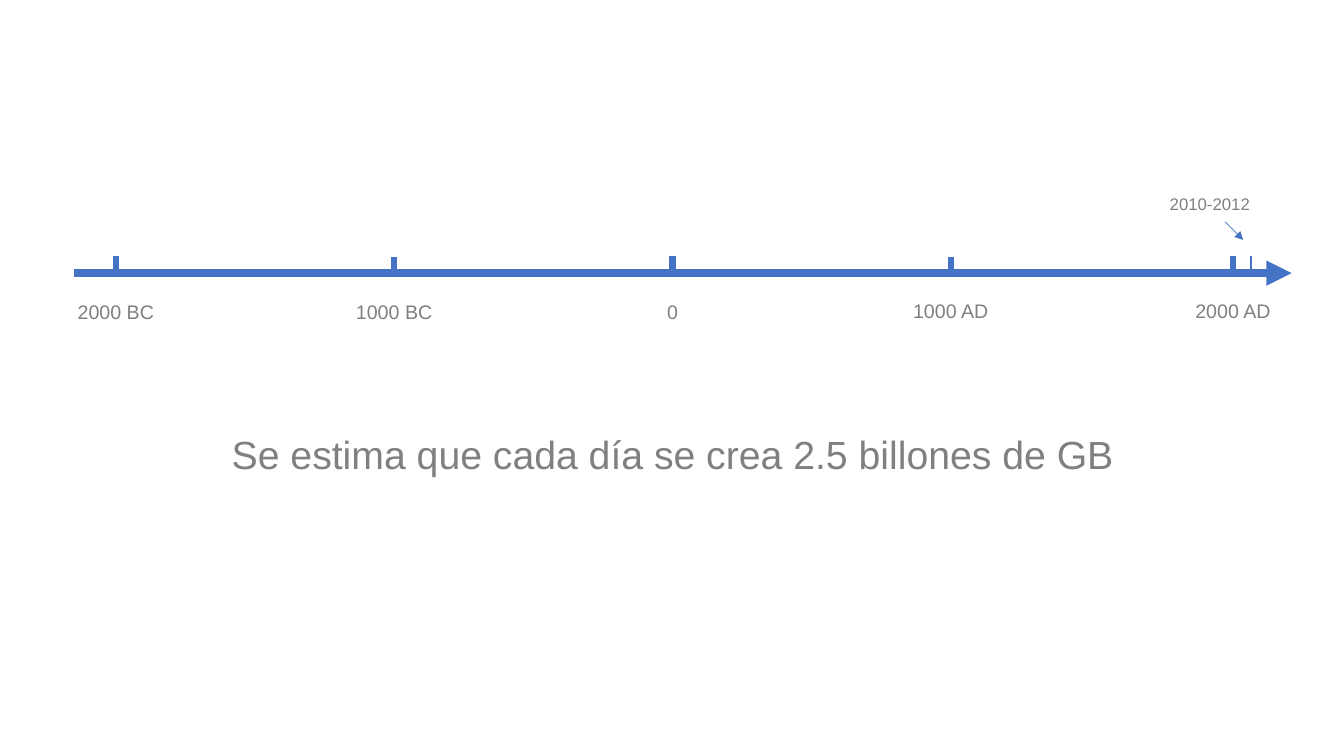
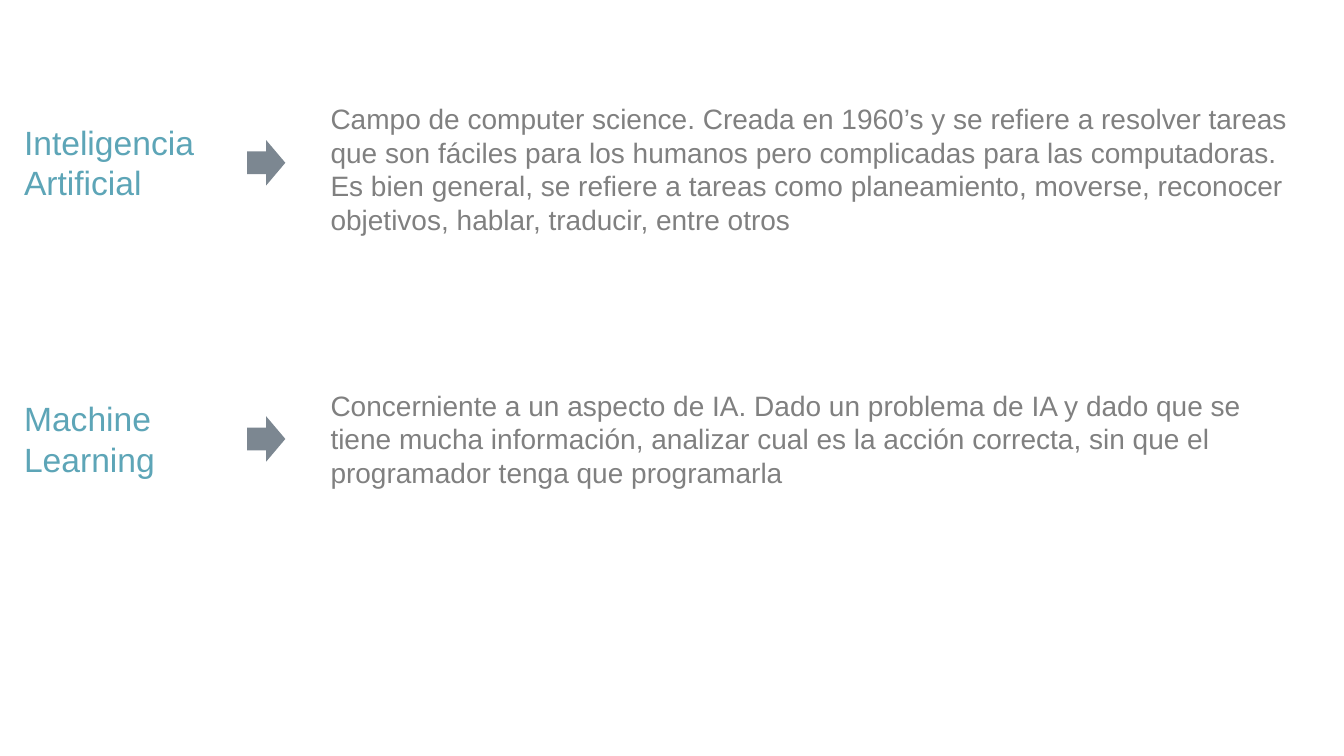
from lxml.etree import SubElement
from pptx import Presentation
from pptx.dml.color import RGBColor
from pptx.enum.shapes import MSO_CONNECTOR as Connector, MSO_SHAPE as Shape
from pptx.enum.text import MSO_ANCHOR as Anchor, MSO_AUTO_SIZE as AutoSize, PP_ALIGN as Align
from pptx.oxml.ns import qn
from pptx.util import Inches, Pt

BLUE = RGBColor(0x44, 0x72, 0xC4)
GRAY = RGBColor(0x80, 0x80, 0x80)
TEAL = RGBColor(0x5D, 0xA5, 0xB7)
SLATE = RGBColor(0x7C, 0x87, 0x91)
FONT = "Arial"
BLANK_LAYOUT = 6


class Deck:
    """Holds the presentation, its style and the current slide."""

    def __init__(self):
        self.presentation = Presentation()
        self.presentation.slide_width = Inches(13.33)
        self.presentation.slide_height = Inches(7.5)
        self.slide = None

    def new_slide(self):
        layout = self.presentation.slide_layouts[BLANK_LAYOUT]
        self.slide = self.presentation.slides.add_slide(layout)

    def text(self, content, left, top, width, height, size, color=GRAY, wrap=True):
        box = self.slide.shapes.add_textbox(
            Inches(left), Inches(top), Inches(width), Inches(height))
        frame = box.text_frame
        frame.word_wrap = wrap
        frame.auto_size = AutoSize.SHAPE_TO_FIT_TEXT
        frame.vertical_anchor = Anchor.TOP
        paragraph = frame.paragraphs[0]
        paragraph.alignment = Align.LEFT if wrap else Align.CENTER
        run = paragraph.add_run()
        run.text = content
        run.font.name = FONT
        run.font.size = Pt(size)
        run.font.color.rgb = color

    def label(self, content, center, top, width, height, size):
        """One unwrapped line of text centred on a horizontal position."""
        self.text(content, center - width / 2, top, width, height, size, wrap=False)

    def line(self, start, end, weight, arrow=False):
        connector = self.slide.shapes.add_connector(
            Connector.STRAIGHT, *(Inches(value) for value in (*start, *end)))
        connector.line.color.rgb = BLUE
        connector.line.width = Pt(weight)
        properties = connector._element.spPr
        if arrow:
            SubElement(properties.find(qn("a:ln")), qn("a:tailEnd"), type="triangle")
        SubElement(properties, qn("a:effectLst"))

    def block_arrow(self, left, top, width, height):
        shape = self.slide.shapes.add_shape(
            Shape.RIGHT_ARROW, Inches(left), Inches(top), Inches(width), Inches(height))
        shape.shadow.inherit = False
        shape.fill.solid()
        shape.fill.fore_color.rgb = SLATE
        shape.line.fill.background()


def build_timeline(deck):
    deck.new_slide()

    # Axis with one labelled tick per millennium
    deck.line((0.73, 2.71), (12.81, 2.71), 6, arrow=True)
    ticks = [
        ("2000 BC", 1.15, 2.54, 2.93),
        ("1000 BC", 3.91, 2.55, 2.93),
        ("0", 6.67, 2.54, 2.93),
        ("1000 AD", 9.43, 2.55, 2.92),
        ("2000 AD", 12.23, 2.54, 2.92),
    ]
    for year, x, tick_top, label_top in ticks:
        deck.line((x, tick_top), (x, tick_top + 0.14), 4.5)
        deck.label(year, x, label_top, 0.96, 0.34, 14)

    # Recent period, pointed out above the axis
    deck.line((12.41, 2.54), (12.41, 2.68), 1.5)
    deck.label("2010-2012", 12, 1.87, 1, 0.3, 12)
    deck.line((12.15, 2.2), (12.33, 2.38), 0.5, arrow=True)

    # Key message
    deck.label("Se estima que cada día se crea 2.5 billones de GB",
               6.67, 4.22, 9.05, 0.57, 28)


def build_definitions(deck):
    deck.new_slide()

    # Each row: term, arrow, definition
    rows = [
        ("Inteligencia Artificial", 1.16, 1.97, 0.96, 1.45,
         "Campo de computer science. Creada en 1960’s y se refiere a resolver "
         "tareas que son fáciles para los humanos pero complicadas para las "
         "computadoras. Es bien general, se refiere a tareas como planeamiento, "
         "moverse, reconocer objetivos, hablar, traducir, entre otros"),
        ("Machine Learning", 3.9, 1.64, 3.8, 1.11,
         "Concerniente a un aspecto de IA. Dado un problema de IA y dado que se "
         "tiene mucha información, analizar cual es la acción correcta, sin que "
         "el programador tenga que programarla"),
    ]
    for term, term_top, term_width, top, height, definition in rows:
        deck.text(term, 0.14, term_top, term_width, 0.91, 24, TEAL)
        deck.block_arrow(2.45, term_top + 0.23, 0.38, 0.45)
        deck.text(definition, 3.18, top, 9.84, height, 20)


def main():
    deck = Deck()
    build_timeline(deck)
    build_definitions(deck)
    deck.presentation.save("out.pptx")


if __name__ == "__main__":
    main()
